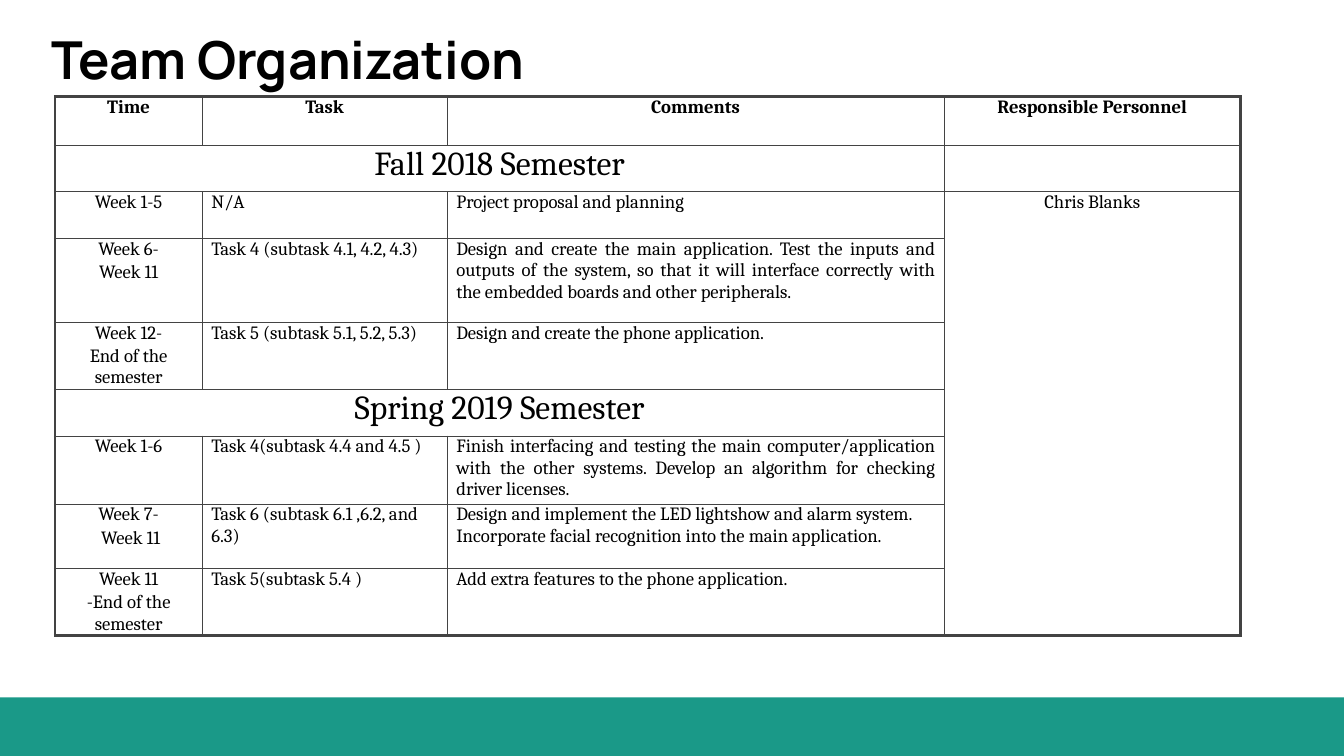
from lxml import etree
from pptx import Presentation
from pptx.dml.color import RGBColor
from pptx.enum import shapes, text
from pptx.oxml.ns import qn
from pptx.util import Pt

COLORS = {"text": "000000", "border": "434343", "bar": "1A9988"}
CENTER, LEFT, JUST = (text.PP_ALIGN.CENTER, text.PP_ALIGN.LEFT,
                      text.PP_ALIGN.JUSTIFY)
NO_STYLE = "{2D5ABB26-0587-4C30-8999-92F81FD0307C}"
COL_WIDTHS = [78.75, 131.25, 266.25, 158.75]
ROW_HEIGHTS = [25.9, 25, 25, 45, 36, 25, 36.5, 34.5, 36]
BANDS = {1: "Fall 2018 Semester", 5: "Spring 2019 Semester"}
HEADERS = ["Time", "Task", "Comments", "Responsible Personnel"]
PERSON = "Chris Blanks"
TASKS = {
    2: ("Week 1-5", "N/A", "Project proposal and planning", JUST),
    3: ("Week 6-\nWeek 11", "Task 4 (subtask 4.1, 4.2, 4.3)",
        "Design and create the main application. Test the inputs and outputs "
        "of the system, so that it will interface correctly with the embedded "
        "boards and other peripherals. ", JUST),
    4: ("Week 12-\nEnd of the semester", "Task 5 (subtask 5.1, 5.2, 5.3)",
        "Design and create the phone application.", LEFT),
    6: ("Week 1-6", "Task 4(subtask 4.4 and 4.5 )",
        "Finish interfacing and testing the main computer/application with "
        "the other systems. Develop an algorithm for checking driver "
        "licenses.", JUST),
    7: ("Week 7-\n Week 11", "Task 6 (subtask 6.1 ,6.2, and 6.3)",
        "Design and implement the LED lightshow and alarm system. Incorporate "
        "facial recognition into the main application.", LEFT),
    8: ("Week 11\n-End of the semester", "Task 5(subtask 5.4 )",
        "Add extra features to the phone application.", LEFT),
}


def set_attrs(obj, values):
    for name, value in values.items():
        setattr(obj, name, value)


def set_font(font, name, size, bold=False):
    set_attrs(font, {"name": name, "size": Pt(size), "bold": bold})
    font.color.rgb = RGBColor.from_string(COLORS["text"])


def add_title(s, x, y, w, h):
    sp = s.shapes.title
    set_attrs(sp, {"left": Pt(x), "top": Pt(y), "width": Pt(w),
                   "height": Pt(h)})
    tf = sp.text_frame
    tf.text = "Team Organization"
    set_attrs(tf, {"word_wrap": True, "auto_size": text.MSO_AUTO_SIZE.NONE,
                   "vertical_anchor": text.MSO_ANCHOR.TOP,
                   "margin_left": Pt(7.2), "margin_right": Pt(7.2),
                   "margin_top": Pt(7.2), "margin_bottom": Pt(7.2)})
    p = tf.paragraphs[0]
    p.alignment = CENTER
    set_font(p.runs[0].font, "Manrope", 28, True)


def add_bar(s, x, y, w, h):
    sp = s.shapes.add_shape(shapes.MSO_SHAPE.RECTANGLE,
                            Pt(x), Pt(y), Pt(w), Pt(h))
    sp.shadow.inherit = False
    sp.fill.solid()
    sp.fill.fore_color.rgb = RGBColor.from_string(COLORS["bar"])
    sp.line.fill.background()


def set_borders(cell, outer):
    tc_pr = cell._tc.get_or_add_tcPr()
    for side in "LRTB":
        if cell.is_spanned and side not in outer:
            continue
        width = Pt(1.5 if side in outer else 0.5)
        ln = etree.SubElement(tc_pr, qn("a:ln" + side), w=str(width))
        fill = etree.SubElement(ln, qn("a:solidFill"))
        etree.SubElement(fill, qn("a:srgbClr"), val=COLORS["border"])


def write_cell(cell, words, align, size=10, bold=False):
    tf = cell.text_frame
    tf.text = words
    for i, p in enumerate(tf.paragraphs):
        p.alignment = align
        if i:
            p.space_before = Pt(1)
        if i == len(tf.paragraphs) - 1:
            p.space_after = Pt(1)
        set_font(p.font, "Cambria", size, bold)
        for r in p.runs:
            set_font(r.font, "Cambria", size, bold)


def add_schedule(s, x, y):
    rows, cols = len(ROW_HEIGHTS), len(COL_WIDTHS)
    frame = s.shapes.add_table(rows, cols, Pt(x), Pt(y),
                               Pt(sum(COL_WIDTHS)), Pt(sum(ROW_HEIGHTS)))
    table = frame.table
    set_attrs(table, {"first_row": False, "horz_banding": False})
    table._tbl.tblPr.find(qn("a:tableStyleId")).text = NO_STYLE
    for col, w in zip(table.columns, COL_WIDTHS):
        col.width = Pt(w)
    for row, h in zip(table.rows, ROW_HEIGHTS):
        row.height = Pt(h)

    for r in BANDS:
        table.cell(r, 0).merge(table.cell(r, 2))
    table.cell(2, 3).merge(table.cell(rows - 1, 3))

    for r in range(rows):
        for c in range(cols):
            cell = table.cell(r, c)
            bottom = r == rows - 1 or (r, c) == (2, 3)
            edges = {"L": c == 0, "R": c == cols - 1, "T": r == 0, "B": bottom}
            set_attrs(cell, {"margin_left": Pt(5), "margin_right": Pt(5),
                             "margin_top": 0, "margin_bottom": 0})
            set_borders(cell, [side for side in edges if edges[side]])
            cell.fill.background()
            write_cell(cell, "", CENTER)

    for c, header in enumerate(HEADERS):
        write_cell(table.cell(0, c), header, CENTER, bold=True)
    for r, band in BANDS.items():
        write_cell(table.cell(r, 0), band, CENTER, 18)
    for r, (time, task, comment, align) in TASKS.items():
        write_cell(table.cell(r, 0), time, CENTER)
        write_cell(table.cell(r, 1), task, align)
        write_cell(table.cell(r, 2), comment, align)
    write_cell(table.cell(2, 3), PERSON, CENTER)


def main():
    prs = Presentation()
    set_attrs(prs, {"slide_width": Pt(720), "slide_height": Pt(405)})
    s = prs.slides.add_slide(prs.slide_layouts[5])
    add_bar(s, 0, 373.7, 720, 31.3)
    add_title(s, 14.4, 7.2, 279.4, 42.5)
    add_schedule(s, 29.5, 51.8)
    prs.save("out.pptx")


if __name__ == "__main__":
    main()
